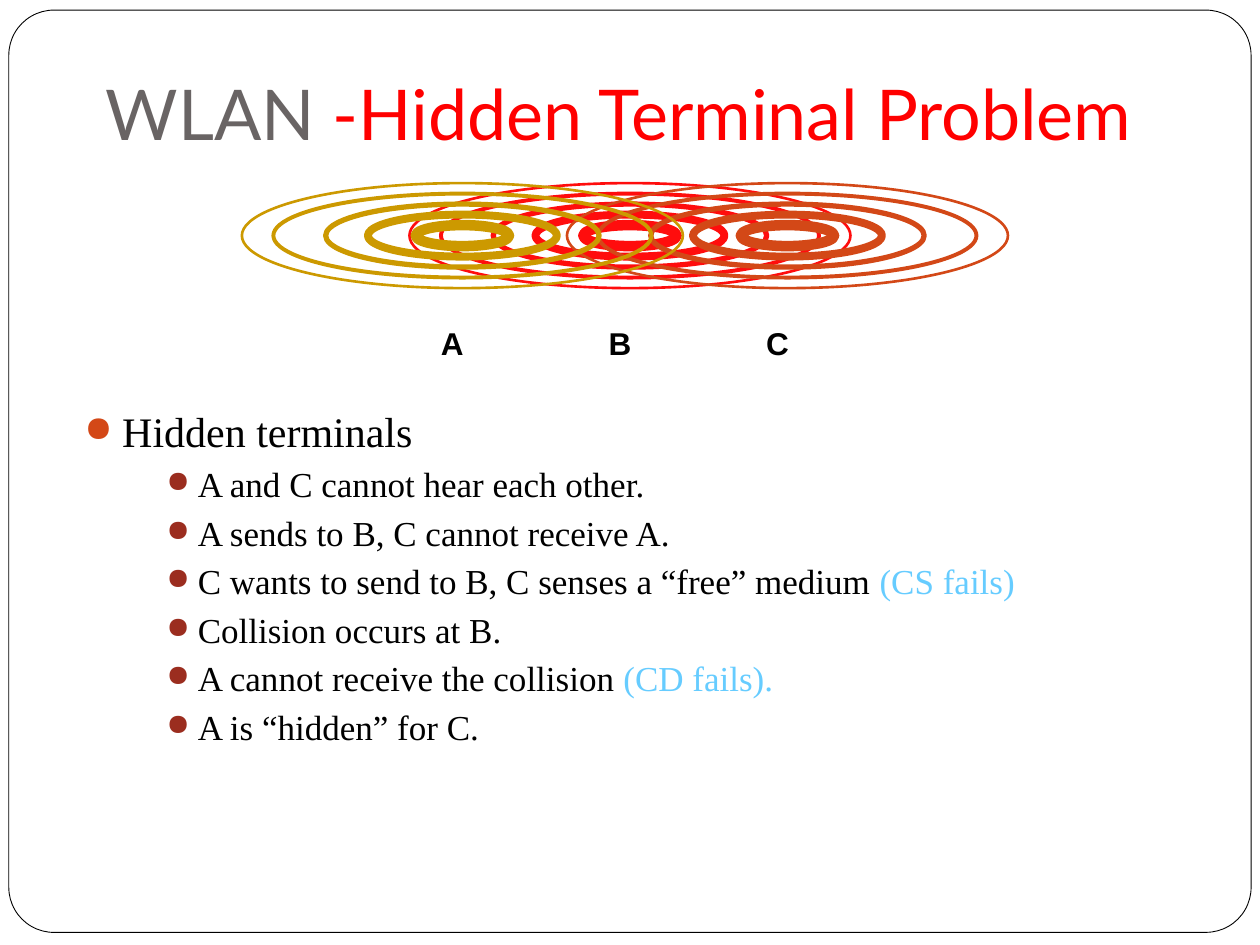
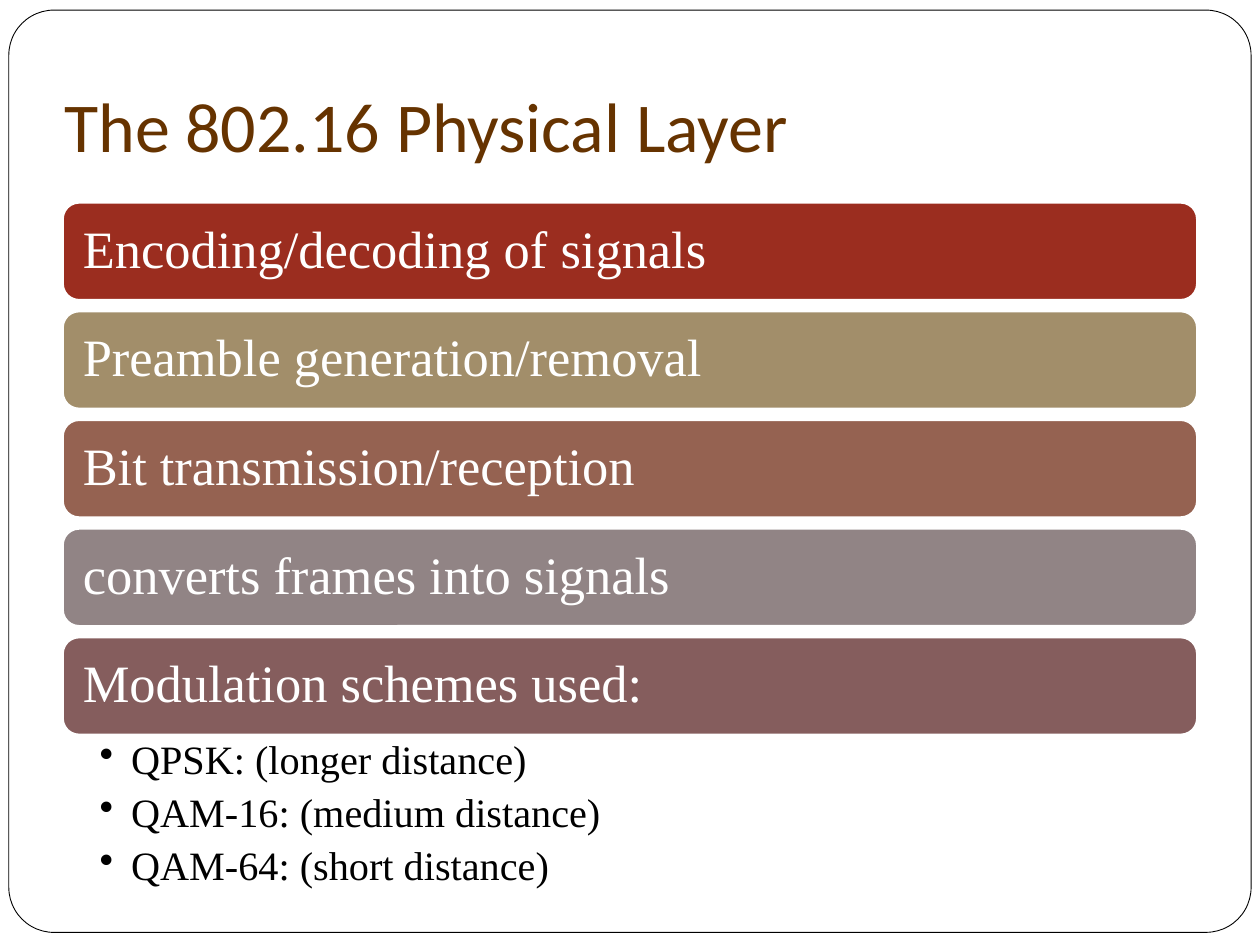
from pptx import Presentation
from pptx.dml.color import RGBColor
from pptx.enum import shapes, text
from pptx.oxml.ns import qn
from pptx.util import Inches, Pt
from lxml import etree

COLORS = {
    "white": "FFFFFF", "black": "000000", "gray": "696464", "red": "FF0000",
    "brown": "663300", "sky": "66CCFF", "orange": "D34817", "brick": "9B2D1F",
    "signal": "FF0D0D", "gold": "CC9900", "sand": "A28E6A", "clay": "956251",
    "stone": "918485", "plum": "855D5D",
}
SERIF = "Times New Roman"
MIDDLE, TOP, BOTTOM = (text.MSO_ANCHOR.MIDDLE, text.MSO_ANCHOR.TOP,
                       text.MSO_ANCHOR.BOTTOM)


def rgb(name):
    return RGBColor.from_string(COLORS[name])


# Shared helpers
def add_shape(slide, kind, box, fill=None, line="black", weight=1):
    sp = slide.shapes.add_shape(kind, *map(Inches, box))
    sp.shadow.inherit = False
    if fill:
        sp.fill.solid()
        sp.fill.fore_color.rgb = rgb(fill)
    else:
        sp.fill.background()
    sp.line.color.rgb = rgb(line)
    sp.line.width = Pt(weight)
    return sp


def set_frame(sp, insets=(0.1, 0.05, 0.1, 0.05), anchor=TOP, wrap=True):
    tf = sp.text_frame
    tf.word_wrap = wrap
    tf.vertical_anchor = anchor
    tf.margin_left, tf.margin_top, tf.margin_right, tf.margin_bottom = map(Inches, insets)
    return tf


def add_text(slide, box, **frame):
    return set_frame(slide.shapes.add_textbox(*map(Inches, box)), **frame)


def add_run(p, words, size, color, font=SERIF, bold=False):
    r = p.add_run()
    r.text = words
    r.font.size = Pt(size)
    r.font.name = font
    r.font.bold = bold
    r.font.color.rgb = rgb(color)


def set_bullet(p, char, color, size, left, hang):
    pPr = p._p.get_or_add_pPr()
    pPr.set("marL", str(Inches(left)))
    pPr.set("indent", str(-Inches(hang)))
    buClr = etree.SubElement(pPr, qn("a:buClr"))
    etree.SubElement(buClr, qn("a:srgbClr"), val=COLORS[color])
    etree.SubElement(pPr, qn("a:buSzPct"), val=str(size * 1000))
    etree.SubElement(pPr, qn("a:buChar"), char=char)


def next_paragraph(tf):
    first = tf.paragraphs[0]
    return tf.add_paragraph() if first.runs else first


def add_base(prs, title_box, title_runs, font):
    """Add a slide with the rounded frame and its title."""
    slide = prs.slides.add_slide(prs.slide_layouts[6])
    frame = add_shape(slide, shapes.MSO_SHAPE.ROUNDED_RECTANGLE,
                      (0.07, 0.08, 9.86, 7.32), "white", weight=0.5)
    frame.adjustments[0] = 0.049
    tf = add_text(slide, title_box, insets=(0.09, 0.04, 0.09, 0.1), anchor=BOTTOM)
    for words, color in title_runs:
        add_run(tf.paragraphs[0], words, 40, color, font)
    return slide


# Radio ranges of the stations
def draw_stations(slide, left, top):
    rings = [(3.5, 1.5), (3, 2.25), (2.17, 3), (1.5, 4.5), (0.74, 6)]
    stations = [("B", 3.08, "signal"), ("C", 4.33, "orange"), ("A", 1.75, "gold")]
    middle = top + 0.42
    for name, offset, color in stations:
        center = left + offset
        for i, (width, weight) in enumerate(rings):
            height = (5 - i) / 6
            add_shape(slide, shapes.MSO_SHAPE.OVAL,
                      (center - width / 2, middle - height / 2, width, height),
                      line=color, weight=weight)
        tf = add_text(slide, (center - 0.27, top + 1.07, 0.38, 0.4),
                      anchor=MIDDLE, wrap=False)
        p = tf.paragraphs[0]
        p.alignment = text.PP_ALIGN.CENTER
        add_run(p, name, 18, "black", "Arial", bold=True)


def draw_explanation(slide, box):
    points = [
        ("A and C cannot hear each other.", ""),
        ("A sends to B, C cannot receive A.", ""),
        ("C wants to send to B, C senses a “free” medium ", "(CS fails)"),
        ("Collision occurs at B.", ""),
        ("A cannot receive the collision ", "(CD fails)."),
        ("A is “hidden” for C.", ""),
    ]
    tf = add_text(slide, box, insets=(0.09, 0.04, 0.09, 0.04))
    p = tf.paragraphs[0]
    p.space_before = Pt(5.8)
    set_bullet(p, "●", "orange", 85, 0.3, 0.3)
    add_run(p, "Hidden terminals", 24, "black")
    for words, failure in points:
        p = next_paragraph(tf)
        p.space_before = Pt(3.7)
        set_bullet(p, "●", "brick", 85, 0.9, 0.25)
        add_run(p, words, 20, "black")
        if failure:
            add_run(p, failure, 20, "sky")


# Bars listing the layer's tasks
def draw_tasks(slide, left, top, width):
    tasks = [
        ("Encoding/decoding of signals", "brick"),
        ("Preamble generation/removal", "sand"),
        ("Bit transmission/reception", "clay"),
        ("converts frames into signals", "stone"),
        ("Modulation schemes used:", "plum"),
    ]
    pitch = 3.45 / (len(tasks) - 1)
    for i, (words, color) in enumerate(tasks):
        bar = add_shape(slide, shapes.MSO_SHAPE.ROUNDED_RECTANGLE,
                        (left, top + i * pitch, width, 0.77), color, "white")
        tf = set_frame(bar, insets=(0.12, 0.12, 0.12, 0.12), anchor=MIDDLE)
        p = tf.paragraphs[0]
        p.alignment = text.PP_ALIGN.LEFT
        p.line_spacing = 0.9
        add_run(p, words, 30, "white")


def draw_modulations(slide, box):
    tf = add_text(slide, box, insets=(0.29, 0.04, 0.23, 0.04))
    for words in ("QPSK: (longer distance)", "QAM-16: (medium distance)",
                  "QAM-64: (short distance)"):
        p = next_paragraph(tf)
        p.line_spacing = 0.9
        p.space_after = Pt(5.5)
        set_bullet(p, "•", "black", 100, 0.25, 0.25)
        add_run(p, words, 23, "black")


# Slides
def build_hidden_terminal(prs):
    slide = add_base(prs, (0.75, 0.08, 9.02, 1.25),
                     [("WLAN ", "gray"), ("-Hidden Terminal Problem", "red")], "Lato")
    draw_explanation(slide, (0.58, 3.18, 9.17, 3.82))
    draw_stations(slide, 1.92, 1.45)


def build_physical_layer(prs):
    slide = add_base(prs, (0.42, 0.17, 9.17, 1.25),
                     [("The 802.16 Physical Layer", "brown")], "Calibri")
    draw_tasks(slide, 0.5, 1.61, 9)
    draw_modulations(slide, (0.5, 5.83, 9, 1.22))


def main():
    prs = Presentation()
    prs.slide_width, prs.slide_height = Inches(10), Inches(7.5)
    build_hidden_terminal(prs)
    build_physical_layer(prs)
    prs.save("out.pptx")


if __name__ == "__main__":
    main()
